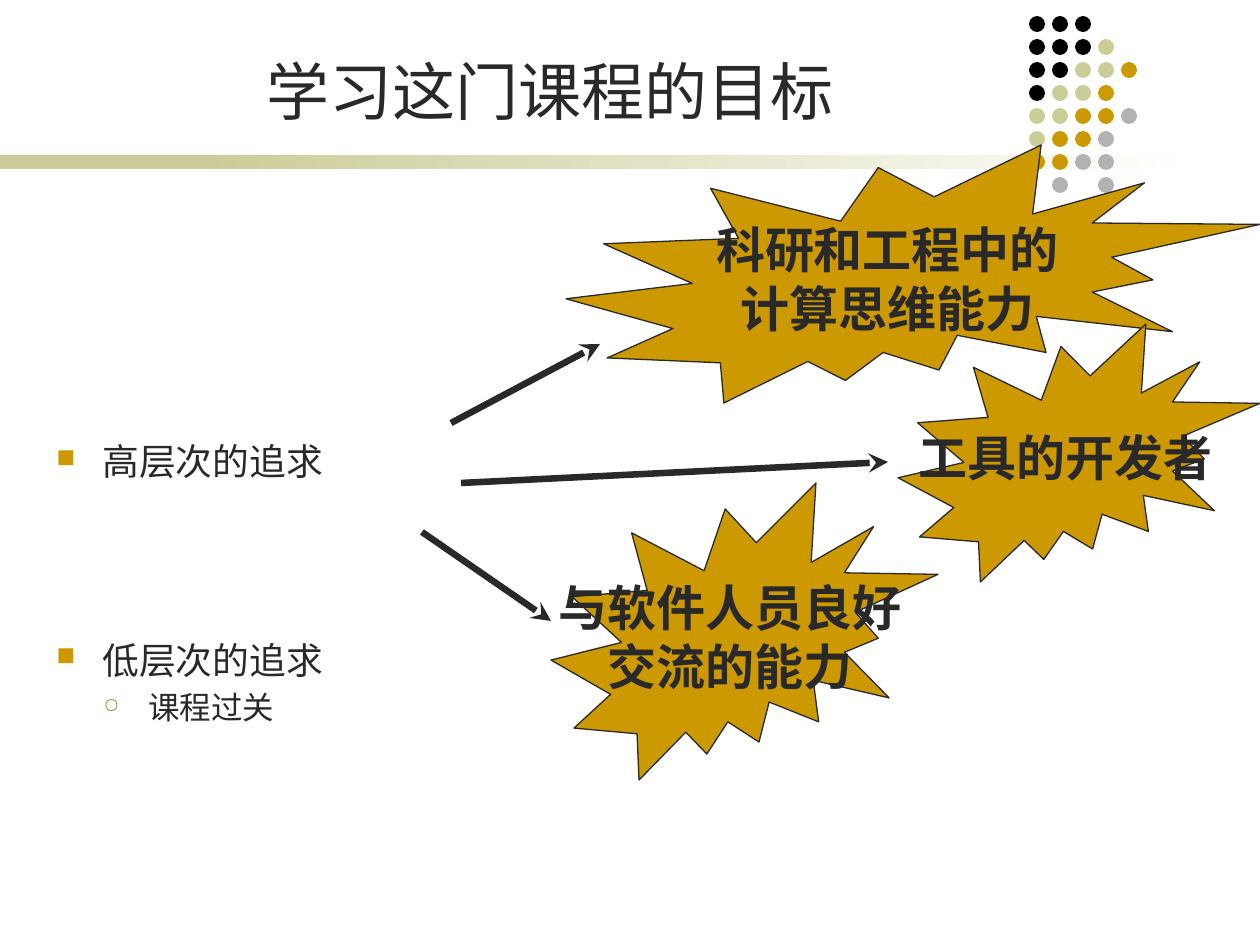
import pptx
import pptx.util
import pptx.dml.color
import pptx.enum.shapes
import pptx.enum.text
import pptx.oxml.ns
from lxml import etree

RGBColor = pptx.dml.color.RGBColor
MSO_SHAPE = pptx.enum.shapes.MSO_SHAPE
PP_ALIGN = pptx.enum.text.PP_ALIGN
MSO_ANCHOR = pptx.enum.text.MSO_ANCHOR
Pt = pptx.util.Pt

INK = RGBColor(0x29, 0x29, 0x29)
BLACK = RGBColor(0, 0, 0)
WHITE = RGBColor(0xFF, 0xFF, 0xFF)
SAGE = RGBColor(0xCC, 0xCC, 0x99)
OLIVE = RGBColor(0x99, 0x99, 0x33)
GOLD = RGBColor(0xCC, 0x99, 0x00)
GRAY = RGBColor(0xB2, 0xB2, 0xB2)

EMU_PER_PX = 914400 / 126
DOT_COLORS = {"k": BLACK, "s": SAGE, "g": GOLD, "y": GRAY}
DOT_ROWS = ["kkk", "kkks", "kkssg", "kssg", "ssggy", "sggy", "ggyy", " y y"]


def px(length):
    return round(length * EMU_PER_PX)


def box_emu(box):
    return [px(length) for length in box]


def add_filled(shapes, preset, box, color):
    shape = shapes.add_shape(preset, *box_emu(box))
    shape.shadow.inherit = False
    shape.fill.solid()
    shape.fill.fore_color.rgb = color
    shape.line.fill.background()
    return shape


def set_font(paragraph, name, size, bold=False):
    paragraph.font.name = name
    paragraph.font.size = Pt(size)
    paragraph.font.bold = bold
    paragraph.font.color.rgb = INK


def add_band(slide, box):
    """Solid start of the rule, overlapped by a part fading to white."""
    left, top, width, height = box
    add_filled(slide.shapes, MSO_SHAPE.RECTANGLE, (left, top, 294, height), SAGE)
    fade_left = left + 199
    fade = add_filled(slide.shapes, MSO_SHAPE.RECTANGLE,
                      (fade_left, top, width - 199, height), SAGE)
    fade.fill.gradient()
    fade.fill.gradient_angle = 0
    for stop, color in zip(fade.fill.gradient_stops, (SAGE, WHITE)):
        stop.color.rgb = color


def add_dots(slide, left, top, pitch=23, size=16):
    group = slide.shapes.add_group_shape()
    for row, codes in enumerate(DOT_ROWS):
        for column, code in enumerate(codes):
            if code in DOT_COLORS:
                box = (left + column * pitch, top + row * pitch, size, size)
                add_filled(group.shapes, MSO_SHAPE.OVAL, box, DOT_COLORS[code])


def add_title(slide, box, text):
    frame = slide.shapes.add_textbox(*box_emu(box)).text_frame
    frame.word_wrap = True
    frame.vertical_anchor = MSO_ANCHOR.BOTTOM
    paragraph = frame.paragraphs[0]
    paragraph.text = text
    paragraph.alignment = PP_ALIGN.CENTER
    set_font(paragraph, "Arial", 36)


def add_bullet(paragraph, character, color, percent, margin, hanging):
    properties = paragraph._p.get_or_add_pPr()
    properties.set("marL", str(px(margin)))
    properties.set("indent", str(-px(hanging)))
    qn = pptx.oxml.ns.qn
    bullet_color = etree.SubElement(properties, qn("a:buClr"))
    etree.SubElement(bullet_color, qn("a:srgbClr"), val=str(color))
    etree.SubElement(properties, qn("a:buSzPct"), val=str(percent * 1000))
    etree.SubElement(properties, qn("a:buChar"), char=character)


def add_goals(slide, box):
    frame = slide.shapes.add_textbox(*box_emu(box)).text_frame
    frame.word_wrap = True
    # text, level, space before in points
    goals = [("高层次的追求", 0, 0), ("低层次的追求", 0, 88), ("课程过关", 1, 3.6)]
    styles = [(21, ("■", GOLD, 70, 46, 46)), (18, ("○", OLIVE, 65, 92, 45))]
    for index, (text, level, space) in enumerate(goals):
        paragraph = frame.add_paragraph() if index else frame.paragraphs[0]
        paragraph.text = text
        paragraph.level = level
        size, bullet = styles[level]
        add_bullet(paragraph, *bullet)
        paragraph.space_before = Pt(space)
        set_font(paragraph, "Arial", size)


def add_burst(slide, box, lines):
    burst = add_filled(slide.shapes, MSO_SHAPE.EXPLOSION2, box, GOLD)
    burst.line.color.rgb = INK
    burst.line.width = Pt(0.75)
    frame = burst.text_frame
    frame.word_wrap = False
    frame.vertical_anchor = MSO_ANCHOR.MIDDLE
    frame.text = "\n".join(lines)
    for paragraph in frame.paragraphs:
        paragraph.alignment = PP_ALIGN.CENTER
        set_font(paragraph, "Times New Roman", 28, bold=True)


def add_arrow(slide, start, end):
    arrow = slide.shapes.add_connector(
        pptx.enum.shapes.MSO_CONNECTOR.STRAIGHT, *box_emu(start + end))
    arrow.line.color.rgb = INK
    arrow.line.width = Pt(3.75)
    qn = pptx.oxml.ns.qn
    etree.SubElement(arrow.line._get_or_add_ln(), qn("a:tailEnd"), type="stealth")
    etree.SubElement(arrow._element.spPr, qn("a:effectLst"))


def main():
    presentation = pptx.Presentation()
    presentation.slide_width = px(1260)
    presentation.slide_height = px(945)
    slide = presentation.slides.add_slide(presentation.slide_layouts[6])

    # Header
    add_band(slide, (0, 155, 1197, 14))
    add_dots(slide, 1029, 16)
    add_title(slide, (64, 50, 973, 84), "学习这门课程的目标")

    # Goals, and the abilities the higher one leads to
    add_goals(slide, (44, 433, 1134, 473))
    add_burst(slide, (566, 145, 694, 258), ["科研和工程中的", "计算思维能力"])
    add_burst(slide, (898, 324, 362, 258), ["工具的开发者"])
    add_burst(slide, (551, 483, 387, 297), ["与软件人员良好", "交流的能力"])
    add_arrow(slide, (451, 423), (600, 344))
    add_arrow(slide, (461, 483), (888, 462))
    add_arrow(slide, (422, 532), (551, 621))

    presentation.save("out.pptx")


if __name__ == "__main__":
    main()
